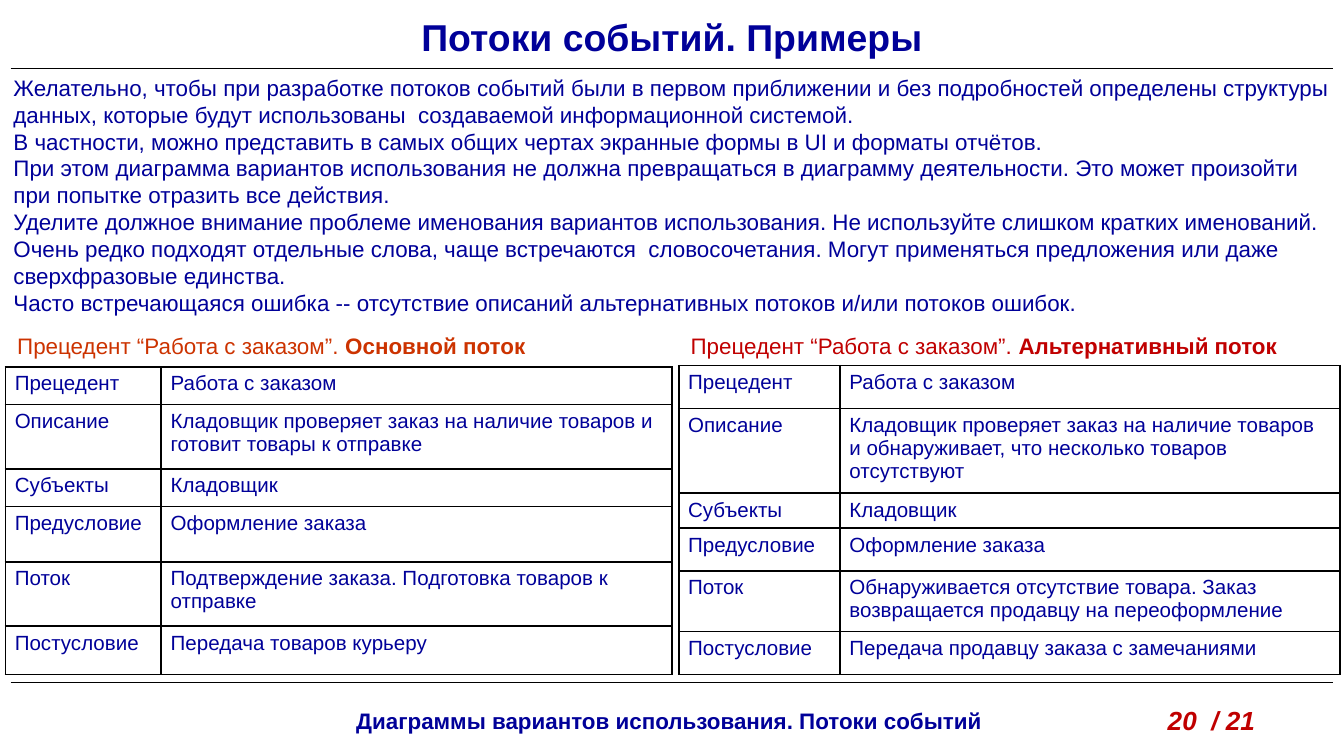
from lxml import etree
from pptx import Presentation
from pptx.dml.color import RGBColor
from pptx.enum.shapes import MSO_CONNECTOR
from pptx.enum.text import MSO_ANCHOR, MSO_AUTO_SIZE, PP_ALIGN
from pptx.oxml.ns import qn
from pptx.util import Inches, Pt

LEFT, CENTER = PP_ALIGN.LEFT, PP_ALIGN.CENTER
TOP, MIDDLE = MSO_ANCHOR.TOP, MSO_ANCHOR.MIDDLE
NO_FIT = MSO_AUTO_SIZE.NONE
STRAIGHT = MSO_CONNECTOR.STRAIGHT

WIDTH = 10
HEIGHT = WIDTH * 9 / 16
NAVY, RED, RUST, BLACK = "000099", "C00000", "CC3300", "000000"

TITLE = "Потоки событий. Примеры"
FOOTER = "Диаграммы вариантов использования. Потоки событий"
NOTES = [
    "Желательно, чтобы при разработке потоков событий были в первом приближении и без подробностей "
    "определены структуры данных, которые будут использованы  создаваемой информационной системой.",
    "В частности, можно представить в самых общих чертах экранные формы в UI и форматы отчётов.",
    "При этом диаграмма вариантов использования не должна превращаться в диаграмму деятельности. "
    "Это может произойти при попытке отразить все действия.",
    "Уделите должное внимание проблеме именования вариантов использования. Не используйте слишком "
    "кратких именований. Очень редко подходят отдельные слова, чаще встречаются  словосочетания. "
    "Могут применяться предложения или даже сверхфразовые единства.",
    "Часто встречающаяся ошибка -- отсутствие описаний альтернативных потоков и/или потоков ошибок.",
]
CASE = "Прецедент “Работа с заказом”. "
LABELS = ["Прецедент", "Описание", "Субъекты", "Предусловие", "Поток", "Постусловие"]
MAIN = [
    "Работа с заказом",
    "Кладовщик проверяет заказ на наличие товаров и готовит товары к отправке",
    "Кладовщик",
    "Оформление заказа",
    "Подтверждение заказа. Подготовка товаров к отправке",
    "Передача товаров курьеру",
]
OTHER = [
    "Работа с заказом",
    "Кладовщик проверяет заказ на наличие товаров и обнаруживает, что несколько товаров отсутствуют",
    "Кладовщик",
    "Оформление заказа",
    "Обнаруживается отсутствие товара. Заказ возвращается продавцу на переоформление",
    "Передача продавцу заказа с замечаниями",
]


def color(code):
    return RGBColor.from_string(code)


def style(font, hue, **values):
    """Set font attributes from the given format values."""
    for name, value in {"name": "Arial", "size": Pt(12), "bold": False, **values}.items():
        setattr(font, name, value)
    font.color.rgb = color(hue)


def place(shape, box):
    for name, value in zip(("left", "top", "width", "height"), box):
        setattr(shape, name, Inches(value))


def write(frame, lines, hue, align=LEFT, anchor=TOP, **values):
    """Fill a frame; each line is a list of (text, bold) runs."""
    frame.word_wrap, frame.auto_size = True, NO_FIT
    frame.vertical_anchor = anchor
    for i, runs in enumerate(lines):
        para = frame.paragraphs[0] if i == 0 else frame.add_paragraph()
        para.alignment = align
        para.space_before = para.space_after = Pt(0)
        for text, bold in runs:
            run = para.add_run()
            run.text = text
            style(run.font, hue, bold=bold, **values)


def add_text(slide, box, runs, hue, **values):
    shape = slide.shapes.add_textbox(*map(Inches, box))
    write(shape.text_frame, [runs], hue, **values)


def add_rule(slide, y):
    gap = 0.08
    line = slide.shapes.add_connector(
        STRAIGHT, *map(Inches, (gap, y, WIDTH - gap, y)))
    line.line.color.rgb = color(BLACK)
    line.line.width = Pt(0.75)
    etree.SubElement(line._element.spPr, qn("a:effectLst"))


def add_head(slide, box):
    shape = slide.shapes.title
    place(shape, box)
    write(shape.text_frame, [[(TITLE, True)]], NAVY,
          align=CENTER, anchor=MIDDLE, size=Pt(20))


def add_notes(slide, box):
    shape = slide.placeholders[1]
    place(shape, box)
    write(shape.text_frame, [[(note, False)] for note in NOTES], NAVY)
    # Plain paragraphs: no bullet, no indent
    for para in shape.text_frame.paragraphs:
        props = para._p.get_or_add_pPr()
        props.set("marL", "0")
        props.set("indent", "0")
        etree.SubElement(props, qn("a:buNone"))


def add_border(cell):
    props = cell._tc.get_or_add_tcPr()
    for i, side in enumerate(("lnL", "lnR", "lnT", "lnB")):
        line = etree.Element(qn("a:" + side), w=str(Pt(1)))
        fill = etree.SubElement(line, qn("a:solidFill"))
        etree.SubElement(fill, qn("a:srgbClr"), val=BLACK)
        props.insert(i, line)


def add_flow(slide, box, cols, rows, texts):
    """Table of one flow of events: a label and a text in each row."""
    shape = slide.shapes.add_table(len(rows), len(cols), *map(Inches, box))
    table = shape.table
    table.first_row = table.horz_banding = False
    for col, width in zip(table.columns, cols):
        col.width = Inches(width)
    for row, height, pair in zip(table.rows, rows, zip(LABELS, texts)):
        row.height = Inches(height)
        for cell, text in zip(row.cells, pair):
            cell.margin_left = cell.margin_right = Inches(0.07)
            cell.margin_top = cell.margin_bottom = Inches(0.04)
            cell.fill.background()
            add_border(cell)
            cell.text = text
            style(cell.text_frame.paragraphs[0].runs[0].font, NAVY, size=Pt(11))


def add_foot(slide, box):
    left, top, width, height = box
    add_rule(slide, top)
    add_text(slide, (left + 1.25, top + 0.13, 7.46, 0.3), [(FOOTER, True)],
             NAVY, align=CENTER)
    add_text(slide, (left + 8.59, top + 0.11, 1.02, 0.34), [("20  / 21", True)],
             RED, size=Pt(14), italic=True)


def main():
    deck = Presentation()
    deck.slide_width, deck.slide_height = Inches(WIDTH), Inches(HEIGHT)
    slide = deck.slides.add_slide(deck.slide_layouts[1])

    # Heading and notes
    add_head(slide, (0, 0.05, WIDTH, 0.45))
    add_rule(slide, 0.51)
    add_notes(slide, (0, 0.5, WIDTH, 1.92))

    # Main flow on the left, alternative flow on the right
    add_text(slide, (0.03, 2.42, 5.01, 0.3),
             [(CASE, False), ("Основной поток", True)], RUST)
    add_flow(slide, (0.04, 2.73, 4.96, 2.28), (1.16, 3.8),
             (0.28, 0.48, 0.28, 0.41, 0.48, 0.36), MAIN)
    add_text(slide, (5.04, 2.42, 5.02, 0.3),
             [(CASE, False), ("Альтернативный поток", True)], RED)
    add_flow(slide, (5.05, 2.72, 4.92, 2.28), (1.2, 3.72),
             (0.32, 0.63, 0.26, 0.32, 0.45, 0.32), OTHER)

    # Footer
    add_foot(slide, (0, 5.08, WIDTH, 0.54))
    deck.save("out.pptx")


if __name__ == "__main__":
    main()
